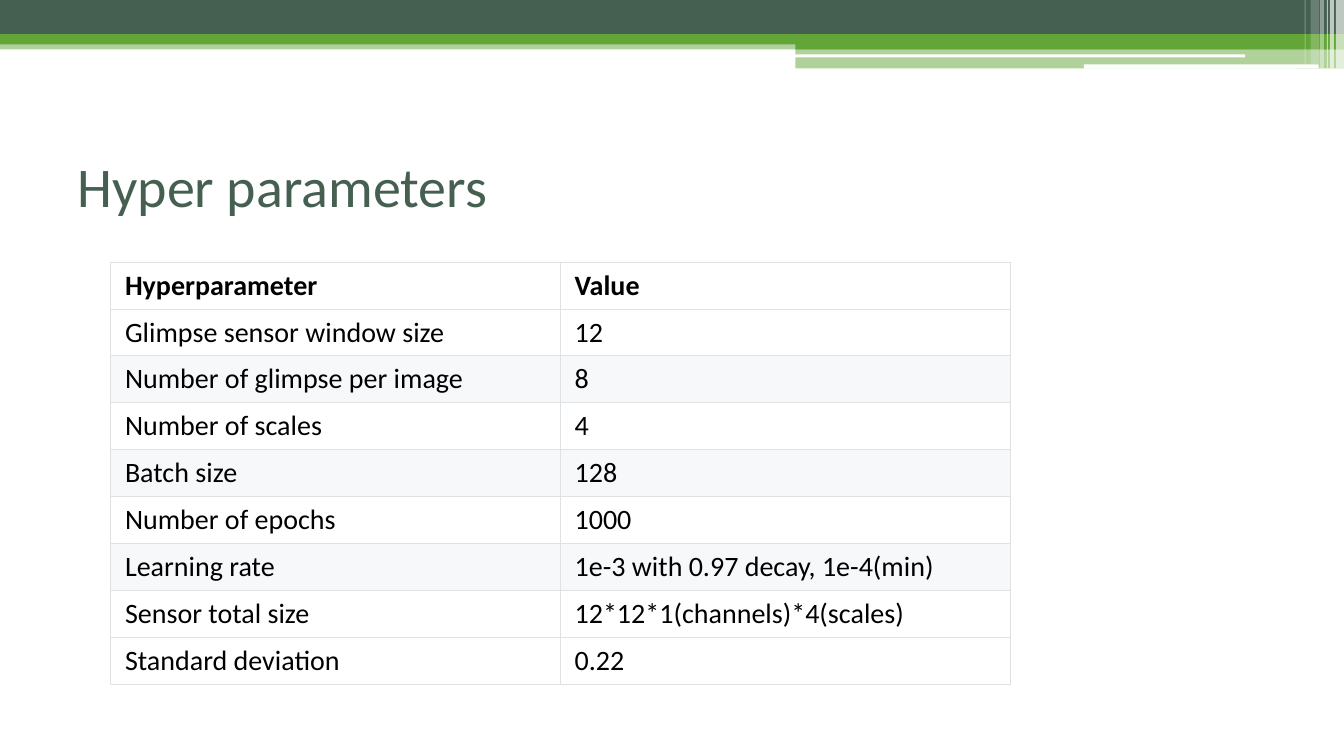
import pptx
import pptx.dml.color
import pptx.enum.shapes
import pptx.enum.text
import pptx.oxml
import pptx.oxml.ns
import pptx.util
from pptx.util import Inches

MIDDLE = pptx.enum.text.MSO_ANCHOR.MIDDLE
RECT = pptx.enum.shapes.MSO_SHAPE.RECTANGLE
ROUNDED = pptx.enum.shapes.MSO_SHAPE.ROUNDED_RECTANGLE


def color(hex_string):
    return pptx.dml.color.RGBColor.from_string(hex_string)


def write(paragraph, text, size, hex_string, bold=False):
    run = paragraph.add_run()
    run.text = text
    run.font.name = "Calibri"
    run.font.size = pptx.util.Pt(size)
    run.font.bold = bold
    run.font.color.rgb = color(hex_string)


deck = pptx.Presentation()
deck.slide_width = Inches(13.33)
deck.slide_height = Inches(7.5)
slide = deck.slides.add_slide(deck.slide_layouts[6])

# Header bands and the stripes at the right: left, top, width, height, colour, opacity %
bands = [
    (RECT, 0, 0.4, 13.33, 0.09, "63A537", 50),
    (RECT, 0, 0, 13.33, 0.34, "455F51", 100),
    (RECT, 0, 0.34, 13.33, 0.1, "63A537", 100),
    (RECT, 7.89, 0.39, 5.44, 0.1, "63A537", 100),
    (RECT, 7.89, 0.48, 5.44, 0.2, "63A537", 50),
    (ROUNDED, 7.88, 0.54, 4.47, 0.03, "FFFFFF", 100),
    (ROUNDED, 10.75, 0.64, 2.33, 0.04, "FFFFFF", 100),
    (RECT, 13.25, 0, 0.08, 0.68, "FFFFFF", 65),
    (RECT, 13.19, 0, 0.04, 0.68, "FFFFFF", 65),
    (RECT, 13.16, 0, 0.01, 0.68, "FFFFFF", 60),
    (RECT, 13.09, 0, 0.04, 0.68, "FFFFFF", 40),
    (RECT, 13, 0, 0.08, 0.64, "FFFFFF", 20),
    (RECT, 12.94, 0, 0.01, 0.64, "FFFFFF", 30),
]
for kind, left, top, width, height, fill, opacity in bands:
    band = slide.shapes.add_shape(
        kind, Inches(left), Inches(top), Inches(width), Inches(height))
    band.shadow.inherit = False
    band.line.fill.background()
    band.fill.solid()
    band.fill.fore_color.rgb = color(fill)
    if opacity < 100:
        tint = band.fill._xPr.find(".//" + pptx.oxml.ns.qn("a:srgbClr"))
        alpha = tint.makeelement(pptx.oxml.ns.qn("a:alpha"), {"val": str(opacity * 1000)})
        tint.append(alpha)

# Title
title = slide.shapes.add_textbox(Inches(0.67), Inches(1.25), Inches(12), Inches(1.17))
title.text_frame.word_wrap = True
title.text_frame.vertical_anchor = MIDDLE
write(title.text_frame.paragraphs[0], "Hyper parameters", 40, "455F51")

# Hyperparameter table
settings = [
    ("Hyperparameter", "Value"),
    ("Glimpse sensor window size", "12"),
    ("Number of glimpse per image", "8"),
    ("Number of scales", "4"),
    ("Batch size", "128"),
    ("Number of epochs", "1000"),
    ("Learning rate", "1e-3 with 0.97 decay, 1e-4(min)"),
    ("Sensor total size", "12*12*1(channels)*4(scales)"),
    ("Standard deviation", "0.22"),
]
shaded_rows = (2, 4, 6)
table = slide.shapes.add_table(
    len(settings), 2, Inches(1.1), Inches(2.6), Inches(8.92), Inches(4.19)).table
for row, setting in enumerate(settings):
    for column, text in enumerate(setting):
        cell = table.cell(row, column)
        cell.vertical_anchor = MIDDLE
        cell.margin_left = cell.margin_right = Inches(0.14)
        cell.margin_top = cell.margin_bottom = Inches(0.06)
        write(cell.text_frame.paragraphs[0], text, 20, "000000", bold=row == 0)

        # Borders come before the fill in the cell properties
        properties = cell._tc.get_or_add_tcPr()
        for side in ("lnL", "lnR", "lnT", "lnB"):
            properties.append(pptx.oxml.parse_xml(
                f'<a:{side} {pptx.oxml.ns.nsdecls("a")} w="9525"><a:solidFill>'
                f'<a:srgbClr val="DFE2E5"/></a:solidFill></a:{side}>'))
        cell.fill.solid()
        cell.fill.fore_color.rgb = color("F6F8FA" if row in shaded_rows else "FFFFFF")

deck.save("out.pptx")
